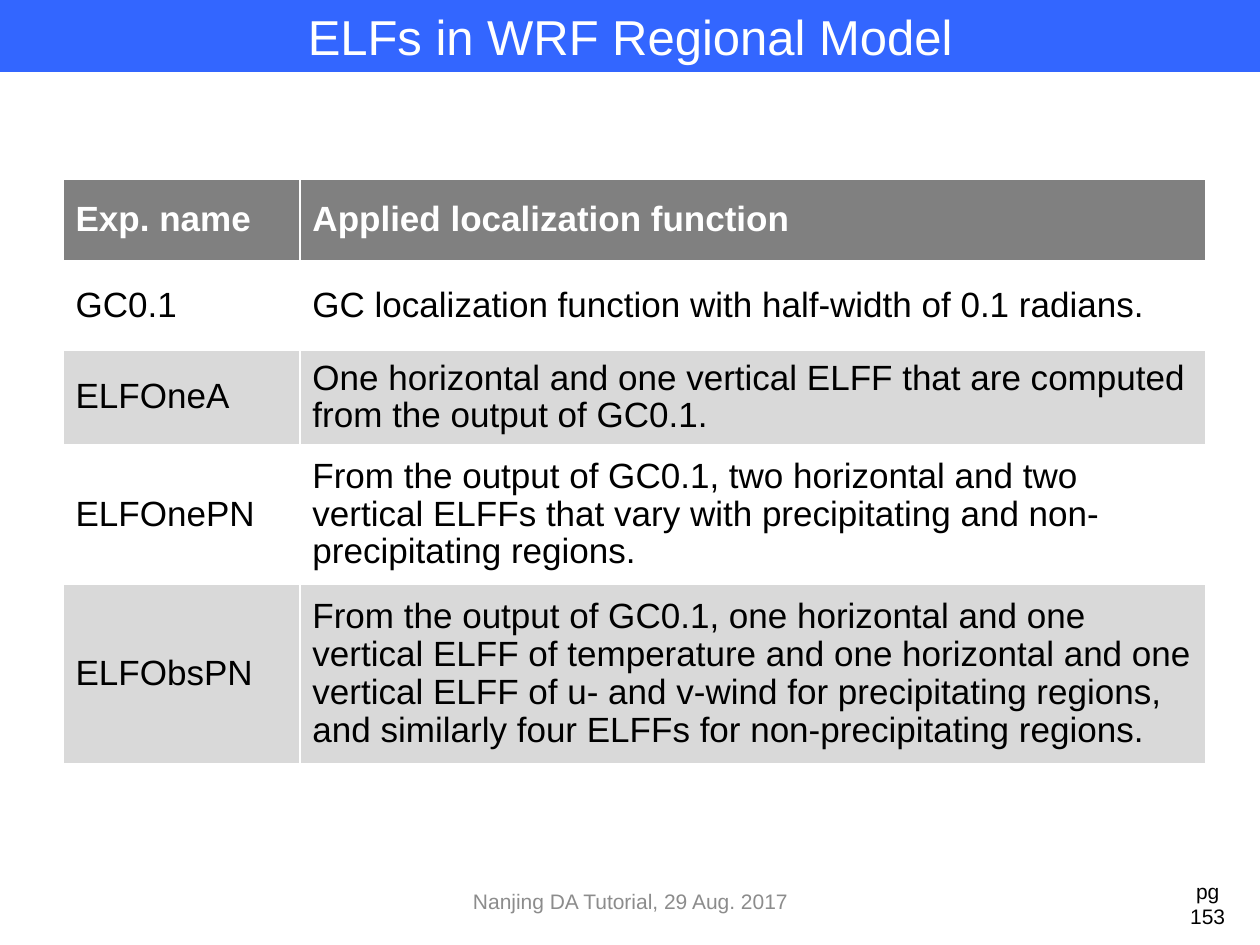
import dataclasses

import lxml.etree
import pptx
import pptx.dml.color
import pptx.enum.text
import pptx.oxml.ns
import pptx.util

Inches = pptx.util.Inches
ALIGN = pptx.enum.text.PP_ALIGN
ANCHOR = pptx.enum.text.MSO_ANCHOR


@dataclasses.dataclass(frozen=True)
class Theme:
    font: str = "Arial"
    banner: str = "3366FF"
    header: str = "808080"
    band: str = "D9D9D9"
    white: str = "FFFFFF"
    black: str = "000000"
    muted: str = "8C8C8C"
    title_size: int = 28
    table_size: int = 20
    footer_size: int = 12
    line_spacing: float = 0.97


@dataclasses.dataclass(frozen=True)
class Experiment:
    name: str
    function: str
    height: float


THEME = Theme()
HEADER = Experiment("Exp. name", "Applied localization function", 0.66)
EXPERIMENTS = [
    Experiment("GC0.1", "GC localization function with half-width of 0.1 radians.", 0.7),
    Experiment("ELFOneA", "One horizontal and one vertical ELFF that are computed "
               "from the output of GC0.1.", 0.75),
    Experiment("ELFOnePN", "From the output of GC0.1, two horizontal and two vertical "
               "ELFFs that vary with precipitating and non-precipitating regions.", 1.11),
    Experiment("ELFObsPN", "From the output of GC0.1, one horizontal and one vertical "
               "ELFF of temperature and one horizontal and one vertical ELFF of u- and "
               "v-wind for precipitating regions, and similarly four ELFFs for "
               "non-precipitating regions.", 1.42),
]
COLUMN_WIDTHS = (1.88, 7.19)


def rgb(color: str):
    return pptx.dml.color.RGBColor.from_string(color)


def write(tf, text: str, *, size: int, color: str, bold: bool = False,
          align=ALIGN.LEFT, anchor=ANCHOR.TOP, spacing: float = 1.0) -> None:
    tf.word_wrap = True
    tf.vertical_anchor = anchor
    p = tf.paragraphs[0]
    p.alignment = align
    p.line_spacing = spacing
    r = p.add_run()
    r.text = text
    r.font.name = THEME.font
    r.font.size = pptx.util.Pt(size)
    r.font.bold = bold
    r.font.color.rgb = rgb(color)


def add_label(slide, text: str, left: float, top: float, width: float,
              height: float, **style) -> None:
    sp = slide.shapes.add_textbox(Inches(left), Inches(top), Inches(width), Inches(height))
    write(sp.text_frame, text, size=THEME.footer_size, align=ALIGN.CENTER, **style)


def set_borders(cell, bottom: int = 1) -> None:
    tc_pr = cell._tc.get_or_add_tcPr()
    qn = pptx.oxml.ns.qn
    widths = {"lnL": 1, "lnR": 1, "lnT": 1, "lnB": bottom}
    for i, (side, width) in enumerate(widths.items()):
        ln = lxml.etree.Element(qn(f"a:{side}"), w=str(pptx.util.Pt(width)))
        fill = lxml.etree.SubElement(ln, qn("a:solidFill"))
        lxml.etree.SubElement(fill, qn("a:srgbClr"), val=THEME.white)
        tc_pr.insert(i, ln)


def fill_row(table, index: int, row: Experiment) -> None:
    is_header = index == 0
    table.rows[index].height = Inches(row.height)
    if is_header:
        fill = THEME.header
    else:
        fill = THEME.white if index % 2 else THEME.band
    for cell, text in zip(table.rows[index].cells, (row.name, row.function)):
        cell.fill.solid()
        cell.fill.fore_color.rgb = rgb(fill)
        set_borders(cell, bottom=3 if is_header else 1)
        write(cell.text_frame, text, size=THEME.table_size, bold=is_header,
              color=THEME.white if is_header else THEME.black,
              spacing=THEME.line_spacing)
        cell.vertical_anchor = ANCHOR.MIDDLE


def main() -> None:
    prs = pptx.Presentation()
    prs.slide_width, prs.slide_height = Inches(10), Inches(7.5)
    slide = prs.slides.add_slide(prs.slide_layouts[5])

    # Title banner
    title = slide.shapes.title
    title.left, title.top = Inches(0), Inches(0)
    title.width, title.height = Inches(10), Inches(0.57)
    title.fill.solid()
    title.fill.fore_color.rgb = rgb(THEME.banner)
    write(title.text_frame, "ELFs in WRF Regional Model", size=THEME.title_size,
          color=THEME.white, align=ALIGN.CENTER)

    # Table of experiments
    rows = [HEADER, *EXPERIMENTS]
    table = slide.shapes.add_table(
        len(rows), len(COLUMN_WIDTHS), Inches(0.5), Inches(1.42),
        Inches(sum(COLUMN_WIDTHS)), Inches(sum(row.height for row in rows))).table
    for column, width in zip(table.columns, COLUMN_WIDTHS):
        column.width = Inches(width)
    for index, row in enumerate(rows):
        fill_row(table, index, row)

    # Footer and page number
    add_label(slide, "Nanjing DA Tutorial, 29 Aug. 2017", 3.42, 6.95, 3.17, 0.4,
              color=THEME.muted, anchor=ANCHOR.MIDDLE)
    add_label(slide, "pg 153", 9.25, 6.92, 0.67, 0.33, color=THEME.black)

    prs.save("out.pptx")


if __name__ == "__main__":
    main()
